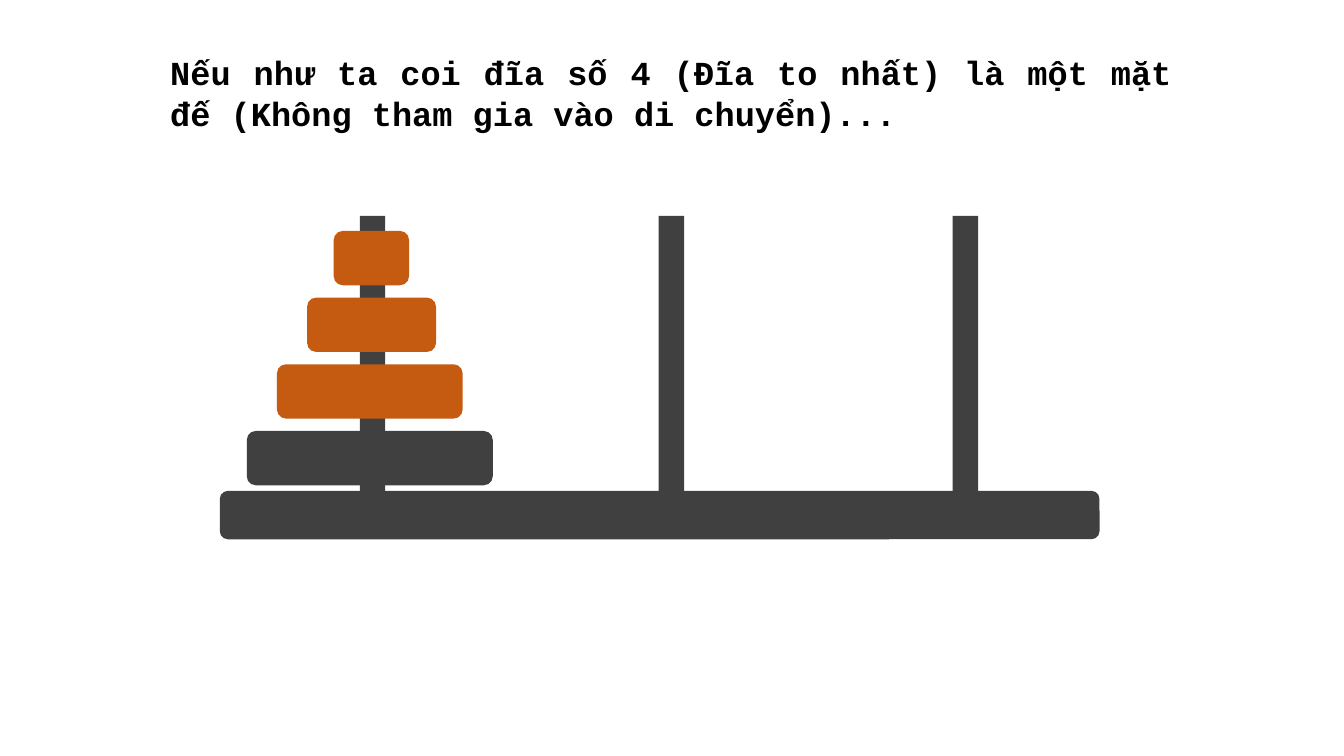
"""Builds the Tower of Hanoi slide with the largest disk treated as part of the base."""
from dataclasses import dataclass

from pptx import Presentation
from pptx import util as u
from pptx.dml.color import RGBColor
from pptx.enum import shapes, text

GREY = "404040"
ORANGE = "C55A11"
BLOCK = shapes.MSO_SHAPE.ROUNDED_RECTANGLE
PEG = shapes.MSO_SHAPE.RECTANGLE

BASE_TOP = 12.37
PEG_TOP = 5.44
DISK_TOP = 5.82
DISK_STEP = 1.68
DISK_HEIGHT = 1.37


@dataclass
class Part:
    left: float
    top: float
    width: float
    height: float
    color: str = GREY
    outline: shapes.MSO_SHAPE = BLOCK


def paint(color_format, color: str) -> None:
    color_format.rgb = RGBColor.from_string(color)


def draw_part(canvas, part: Part) -> None:
    drawn = canvas.add_shape(part.outline, u.Cm(part.left), u.Cm(part.top),
                             u.Cm(part.width), u.Cm(part.height))
    drawn.shadow.inherit = False
    drawn.fill.solid()
    paint(drawn.fill.fore_color, part.color)
    drawn.line.fill.background()


def draw_statement(canvas, wording: str) -> None:
    statement = canvas.add_textbox(u.Cm(4.04), u.Cm(1.19), u.Cm(25.73), u.Cm(2.31))
    frame = statement.text_frame
    frame.word_wrap = True
    frame.auto_size = text.MSO_AUTO_SIZE.SHAPE_TO_FIT_TEXT
    sentence = frame.paragraphs[0]
    sentence.alignment = text.PP_ALIGN.JUSTIFY
    words = sentence.add_run()
    words.text = wording
    words.font.name = "Courier New"
    words.font.size = u.Pt(24)
    words.font.bold = True
    paint(words.font.color, "000000")


def main() -> None:
    deck = Presentation()
    deck.slide_width, deck.slide_height = u.Cm(33.87), u.Cm(19.05)
    canvas = deck.slides.add_slide(deck.slide_layouts[6]).shapes

    stand = [Part(5.54, BASE_TOP, 22.17, 1.22)]
    stand += [Part(left, PEG_TOP, 0.64, BASE_TOP - PEG_TOP, outline=PEG)
              for left in (9.07, 16.6, 24.01)]
    stand_group = canvas.add_group_shape().shapes
    for part in stand:
        draw_part(stand_group, part)

    disks = [(8.41, 1.9, ORANGE), (7.74, 3.25, ORANGE),
             (6.98, 4.68, ORANGE), (6.22, 6.2, GREY)]
    for level, (left, width, color) in reversed(list(enumerate(disks))):
        draw_part(canvas, Part(left, DISK_TOP + level * DISK_STEP,
                               width, DISK_HEIGHT, color))

    draw_statement(canvas, "Nếu như ta coi đĩa số 4 (Đĩa to nhất) là một mặt đế "
                           "(Không tham gia vào di chuyển)...")
    deck.save("out.pptx")


if __name__ == "__main__":
    main()
